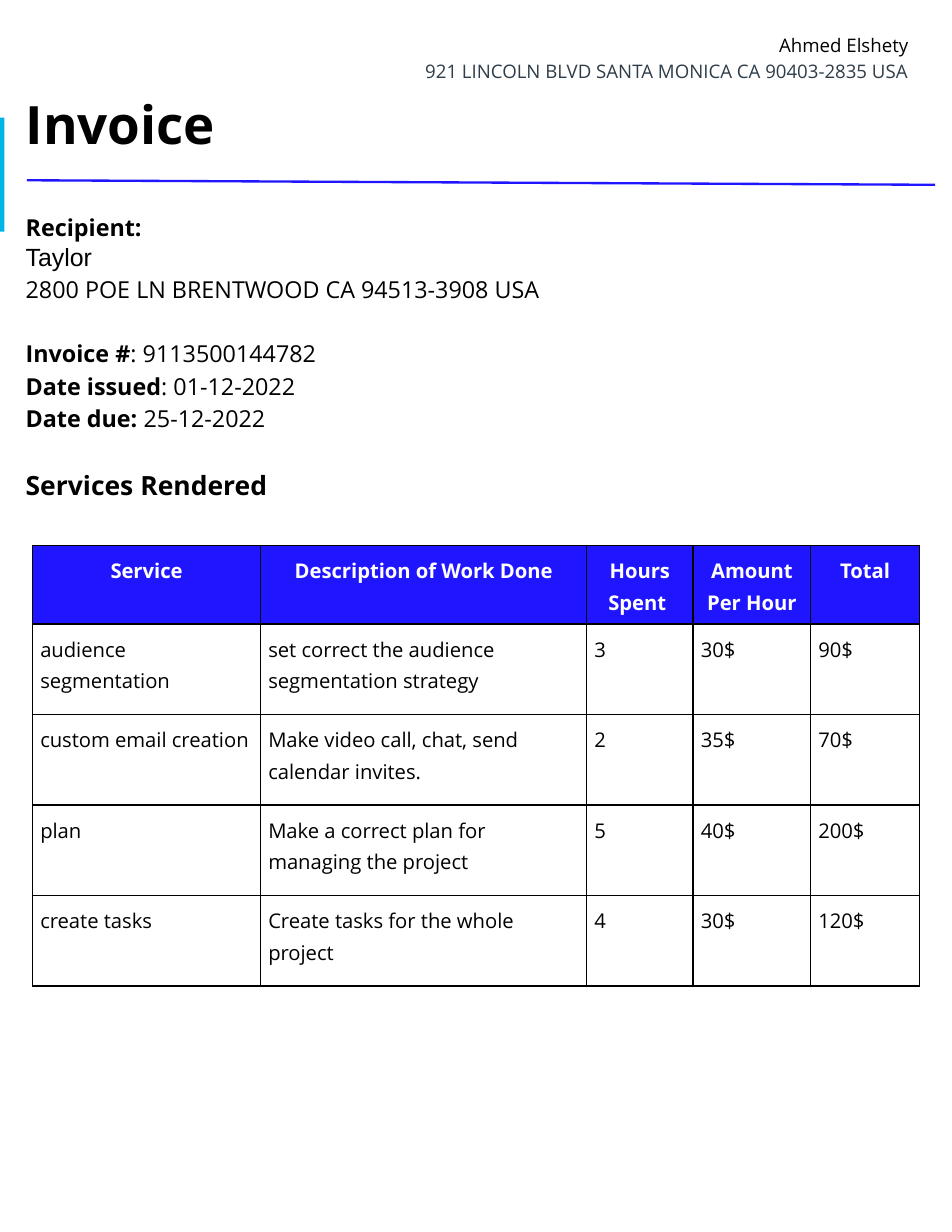
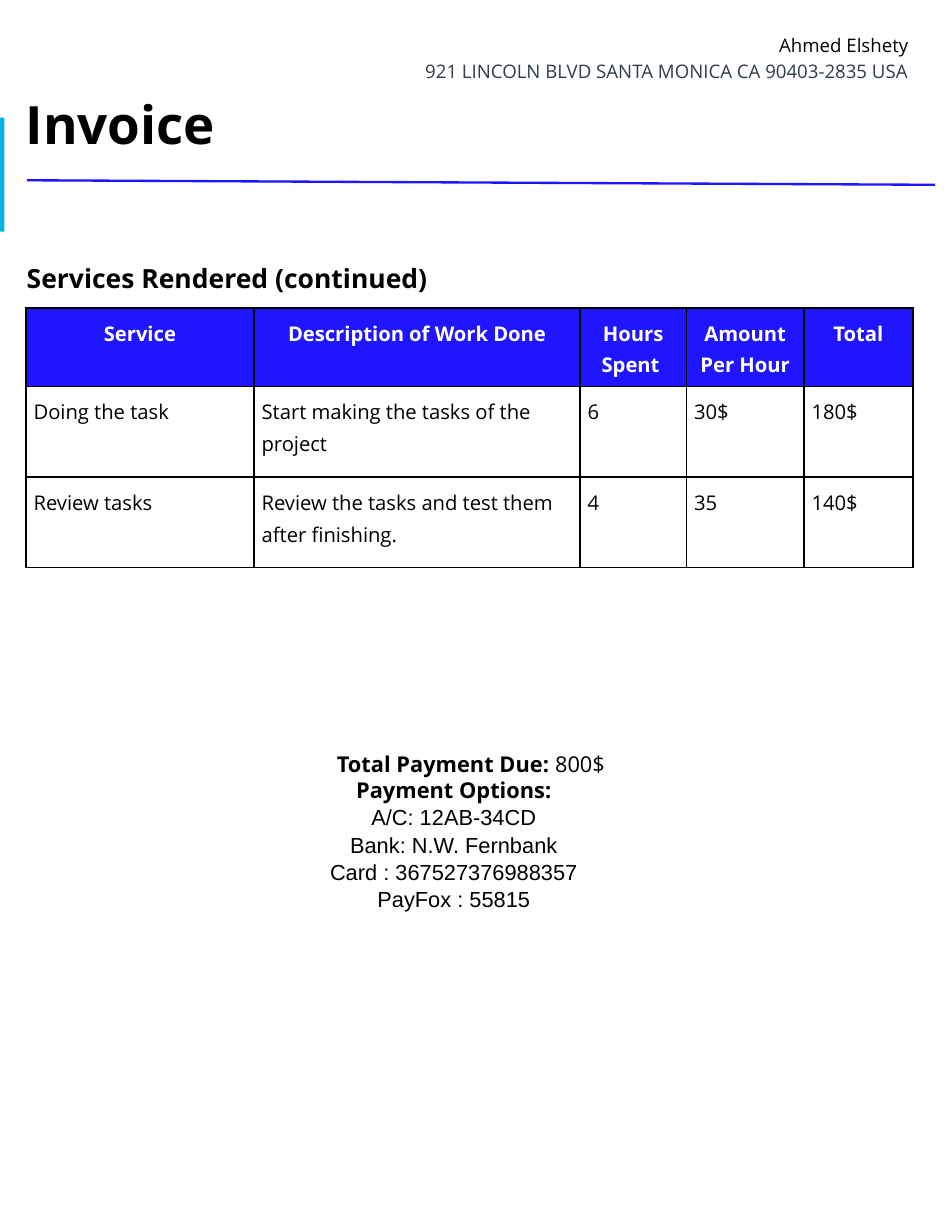
from lxml import etree
from pptx import Presentation
from pptx.dml.color import RGBColor
from pptx.enum import shapes, text
from pptx.oxml import ns
from pptx.util import Pt

COLORS = {"ink": "000000", "slate": "2E3D49", "blue": "2015FF",
          "cyan": "02B4E5", "white": "FFFFFF"}
LEFT, CENTER, RIGHT = (text.PP_ALIGN.LEFT, text.PP_ALIGN.CENTER,
                       text.PP_ALIGN.RIGHT)
LOOSE = 1.15
COLUMNS = {"Service": 146.6, "Description of Work Done": 209.6,
           "Hours Spent ": 68.5, "Amount Per Hour": 75.5, "Total": 70.1}


def color(name):
    return RGBColor.from_string(COLORS[name])


class Invoice:
    """Holds the invoice style and the page being built."""
    font = "Open Sans"
    inset = 7.2
    cell_inset = 5

    def __init__(self):
        self.deck = Presentation()
        self.deck.slide_width, self.deck.slide_height = Pt(612), Pt(792)
        self.page = None

    def add_page(self):
        self.page = self.deck.slides.add_slide(self.deck.slide_layouts[5])
        self.band(0, 75.6, 2.9, 73.4)
        self.letterhead()
        self.rule((17.3, 115.9), (601.2, 118.8))

    def band(self, *place):
        band = self.page.shapes.add_shape(shapes.MSO_SHAPE.RECTANGLE,
                                          *map(Pt, place))
        band.shadow.inherit = False
        band.fill.solid()
        band.fill.fore_color.rgb = color("cyan")
        band.line.fill.background()

    def rule(self, start, end):
        rule = self.page.shapes.add_connector(
            shapes.MSO_CONNECTOR.STRAIGHT, *map(Pt, start + end))
        rule.line.color.rgb = color("blue")
        rule.line.width = Pt(1.5)
        etree.SubElement(rule._element.spPr, ns.qn("a:effectLst"))

    def letterhead(self):
        title = self.page.shapes.title
        title.left, title.top, title.width, title.height = map(
            Pt, (9.4, 15.8, 581.8, 87.8))
        frame = self.frame(title, text.MSO_ANCHOR.MIDDLE)
        self.para(frame, [("Ahmed Elshety", {})], 12, RIGHT, LOOSE)
        self.para(frame, [("921 LINCOLN BLVD SANTA MONICA CA 90403-2835 USA",
                           {"ink": "slate"})], 12, RIGHT, LOOSE)
        self.para(frame, [("Invoice", {"bold": True})], 34, LEFT, LOOSE)

    def frame(self, box, anchor=text.MSO_ANCHOR.TOP):
        frame = box.text_frame
        frame.word_wrap = True
        frame.auto_size = text.MSO_AUTO_SIZE.NONE
        frame.vertical_anchor = anchor
        frame.margin_left = frame.margin_right = Pt(self.inset)
        frame.margin_top = frame.margin_bottom = Pt(self.inset)
        return frame

    def text_box(self, *place):
        return self.frame(self.page.shapes.add_textbox(*map(Pt, place)))

    def para(self, frame, spans, size, align=LEFT, spacing=1.0, before=0):
        """Fill the first empty paragraph, or add one, span by span."""
        para = frame.paragraphs[-1]
        if para.runs:
            para = frame.add_paragraph()
        para.alignment = align
        para.line_spacing = spacing
        para.space_before = Pt(before)
        for words, style in spans:
            self.span(para, words, size, **style)
        return para

    def span(self, para, words, size, bold=False, ink="ink", font=None):
        span = para.add_run()
        span.text = words
        span.font.name = font or self.font
        span.font.size = Pt(size)
        span.font.bold = bold
        span.font.color.rgb = color(ink)

    def heading(self, frame, words, before=0):
        self.para(frame, [(words, {"bold": True})], 17, LEFT, LOOSE, before)

    def labelled(self, frame, label, value, size, **layout):
        self.para(frame, [(label, {"bold": True}), (value, {})], size, **layout)

    def services(self, left, top, rows):
        heights = [43.2] + [58.2] * len(rows)
        table = self.page.shapes.add_table(
            len(heights), len(COLUMNS), Pt(left), Pt(top),
            Pt(sum(COLUMNS.values())), Pt(sum(heights))).table
        table.first_row = table.horz_banding = False
        for column, width in zip(table.columns, COLUMNS.values()):
            column.width = Pt(width)
        for row, height in zip(table.rows, heights):
            row.height = Pt(height)
        for r, words in enumerate([tuple(COLUMNS)] + rows):
            for c, word in enumerate(words):
                self.cell(table.cell(r, c), word, header=r == 0)

    def cell(self, cell, words, header):
        cell.margin_left = cell.margin_right = Pt(self.cell_inset)
        cell.margin_top = cell.margin_bottom = Pt(self.cell_inset)
        self.borders(cell)
        if header:
            cell.fill.solid()
            cell.fill.fore_color.rgb = color("blue")
            style, align = {"bold": True, "ink": "white"}, CENTER
        else:
            cell.fill.background()
            style, align = {}, LEFT
        self.para(cell.text_frame, [(words, style)], 13, align, LOOSE)

    def borders(self, cell):
        props = cell._tc.get_or_add_tcPr()
        for side in ("lnL", "lnR", "lnT", "lnB"):
            line = etree.SubElement(props, ns.qn(f"a:{side}"), w=str(Pt(1)))
            fill = etree.SubElement(line, ns.qn("a:solidFill"))
            etree.SubElement(fill, ns.qn("a:srgbClr"), val=COLORS["ink"])


def recipient_page(invoice):
    invoice.add_page()
    details = invoice.text_box(9.4, 127.4, 591, 221)
    invoice.para(details, [("Recipient: ", {"bold": True})], 15, spacing=LOOSE)
    invoice.para(details, [("Taylor", {"font": "Arial"})], 16)
    invoice.para(details, [("2800 POE LN BRENTWOOD CA 94513-3908 USA", {})],
                 15, spacing=LOOSE)
    for label, value, gap in (("Invoice #", ": 9113500144782", 20.5),
                              ("Date issued", ": 01-12-2022", 0),
                              ("Date due: ", "25-12-2022", 0)):
        invoice.labelled(details, label, value, 15, spacing=LOOSE, before=gap)
    invoice.heading(details, "Services Rendered", before=20.5)
    invoice.services(20.9, 350.6, [
        ("audience segmentation",
         "set correct the audience segmentation strategy", "3", "30$", "90$"),
        ("custom email creation",
         "Make video call, chat, send calendar invites.", "2", "35$", "70$"),
        ("plan", "Make a correct plan for managing the project",
         "5", "40$", "200$"),
        ("create tasks", "Create tasks for the whole project",
         "4", "30$", "120$"),
    ])


def payment_page(invoice):
    invoice.add_page()
    invoice.heading(invoice.text_box(10.1, 158, 591, 55),
                    "Services Rendered (continued)")
    invoice.services(16.6, 198, [
        ("Doing the task", "Start making the tasks of the project",
         "6", "30$", "180$"),
        ("Review tasks", "Review the tasks and test them after finishing.",
         "4", "35", "140$"),
    ])
    payment = invoice.text_box(126, 475.2, 353.5, 133.2)
    invoice.labelled(payment, "Total Payment Due: ", "800$", 14, align=CENTER)
    options = invoice.para(payment, [("Payment Options:", {"bold": True})],
                           14, CENTER)
    options._p.get_or_add_pPr().set("marR", str(Pt(22)))
    for account in ("A/C: 12AB-34CD", "Bank: N.W. Fernbank",
                    "Card : 367527376988357", "PayFox : 55815"):
        invoice.para(payment, [(account, {"font": "Arial"})], 14, CENTER,
                     before=0.8)


def main():
    invoice = Invoice()
    recipient_page(invoice)
    payment_page(invoice)
    invoice.deck.save("out.pptx")


if __name__ == "__main__":
    main()
